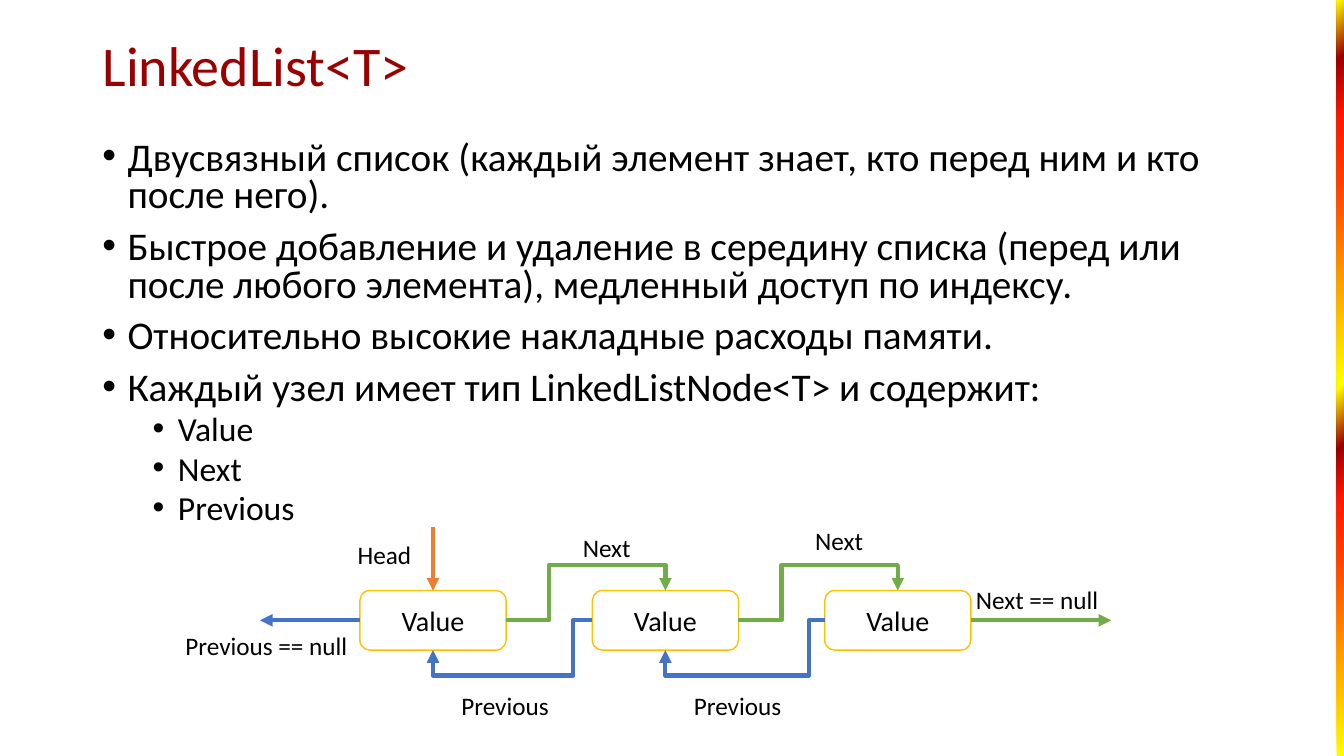
from lxml import etree
from pptx import Presentation
from pptx.dml.color import RGBColor
from pptx.enum.shapes import MSO_CONNECTOR, MSO_SHAPE
from pptx.enum.text import MSO_ANCHOR, MSO_AUTO_SIZE, PP_ALIGN
from pptx.oxml.ns import qn
from pptx.util import Inches, Pt

STRAIGHT, ELBOW = MSO_CONNECTOR.STRAIGHT, MSO_CONNECTOR.ELBOW
RECT, ROUND = MSO_SHAPE.RECTANGLE, MSO_SHAPE.ROUNDED_RECTANGLE
MIDDLE, TOP = MSO_ANCHOR.MIDDLE, MSO_ANCHOR.TOP
LEFT, CENTER = PP_ALIGN.LEFT, PP_ALIGN.CENTER
FIXED, GROW = MSO_AUTO_SIZE.NONE, MSO_AUTO_SIZE.SHAPE_TO_FIT_TEXT

COLS, ROWS = 160, 90
BLACK, WHITE, DARK, GOLD = "000000", "FFFFFF", "990000", "FFC000"
GREEN, BLUE, ORANGE = "70AD47", "4472C4", "ED7D31"
STOPS = [(0, "FFFF00"), (27, "FF3D00"), (34, "FF1900"), (41, DARK),
         (49, "FFFF00"), (76, "FF3D00"), (84, "FF1900"), (92, DARK),
         (100, "FFFF00")]
POINTS = [
    (0, "Двусвязный список (каждый элемент знает, кто перед ним и кто после него)."),
    (0, "Быстрое добавление и удаление в середину списка (перед или после любого элемента), медленный доступ по индексу."),
    (0, "Относительно высокие накладные расходы памяти."),
    (0, "Каждый узел имеет тип LinkedListNode<T> и содержит:"),
    (1, "Value"),
    (1, "Next"),
    (1, "Previous"),
]


def tint(code):
    return RGBColor.from_string(code)


class Sheet:
    font = "Calibri"

    def __init__(self, deck):
        self.wide, self.high = deck.slide_width, deck.slide_height
        self.slide = deck.slides.add_slide(deck.slide_layouts[5])
        self.shapes = self.slide.shapes

    def spot(self, col, row):
        return round(col * self.wide / COLS), round(row * self.high / ROWS)

    def area(self, col, row, cols, rows):
        return *self.spot(col, row), *self.spot(cols, rows)

    def style(self, para, size, color=BLACK, align=LEFT):
        para.alignment = align
        for run in para.runs:
            run.font.name = self.font
            run.font.size = Pt(size)
            run.font.color.rgb = tint(color)

    def title(self, text, *box):
        head = self.shapes.title
        head.left, head.top, head.width, head.height = self.area(*box)
        frame = head.text_frame
        frame.text = text
        frame.auto_size = FIXED
        frame.vertical_anchor = MIDDLE
        frame.paragraphs[0].line_spacing = 0.9
        self.style(frame.paragraphs[0], 40, DARK)

    def bar(self, stops, *box):
        strip = self.shapes.add_shape(RECT, *self.area(*box))
        strip.shadow.inherit = False
        strip.line.fill.background()
        strip.fill.gradient()
        strip.fill.gradient_angle = 135
        ramp = next(strip.element.iter(qn("a:gsLst")))
        ramp.clear()
        for share, color in stops:
            stop = etree.SubElement(ramp, qn("a:gs"), pos=str(share * 1000))
            etree.SubElement(stop, qn("a:srgbClr"), val=color)

    def list(self, items, *box):
        frame = self.shapes.add_textbox(*self.area(*box)).text_frame
        frame.word_wrap = True
        frame.auto_size = FIXED
        frame.vertical_anchor = TOP
        frame.text = "\n".join(text for _, text in items)
        for para, (level, _) in zip(frame.paragraphs, items):
            para.level = level
            para.line_spacing = 0.8
            para.space_before = Pt(5 if level else 10)
            self.style(para, 24 if level else 28)
            props = para._p.get_or_add_pPr()
            props.set("marL", str(Inches(0.25 + level / 2)))
            props.set("indent", str(Inches(-0.25)))
            etree.SubElement(props, qn("a:buFont"), typeface="Arial")
            etree.SubElement(props, qn("a:buChar"), char="•")

    def node(self, text, *box):
        card = self.shapes.add_shape(ROUND, *self.area(*box))
        card.shadow.inherit = False
        card.fill.solid()
        card.fill.fore_color.rgb = tint(WHITE)
        card.line.color.rgb = tint(GOLD)
        card.line.width = Pt(1)
        card.text_frame.text = text
        card.text_frame.vertical_anchor = MIDDLE
        self.style(card.text_frame.paragraphs[0], 20, align=CENTER)

    def label(self, text, col, row, cols):
        frame = self.shapes.add_textbox(*self.area(col, row, cols, 4.8)).text_frame
        frame.word_wrap = False
        frame.auto_size = GROW
        frame.text = text
        self.style(frame.paragraphs[0], 18)

    def arrow(self, start, end, color, bends=None):
        kind = ELBOW if bends else STRAIGHT
        link = self.shapes.add_connector(kind, *self.spot(*start), *self.spot(*end))
        link.line.color.rgb = tint(color)
        link.line.width = Pt(3)
        etree.SubElement(link.line._ln, qn("a:tailEnd"), type="triangle")
        props = link.element.spPr
        etree.SubElement(props, qn("a:effectLst"))
        if bends:
            form = props.find(qn("a:prstGeom"))
            form.set("prst", "bentConnector4")
            guides = form.find(qn("a:avLst"))
            for place, bend in enumerate(bends, 1):
                etree.SubElement(guides, qn("a:gd"), name=f"adj{place}",
                                 fmla=f"val {round(bend * 100000)}")


def main():
    deck = Presentation()
    deck.slide_width, deck.slide_height = Inches(13.33), Inches(7.5)
    sheet = Sheet(deck)
    sheet.bar(STOPS, 159.15, 0, 0.85, ROWS)
    sheet.title("LinkedList<T>", 11, 1.8, 138, 12.7)
    sheet.list(POINTS, 11, 16.2, 138, 50)

    left, top, width, height, step = 42.85, 70.3, 17.4, 7.1, 27.67
    middle, base = top + height / 2, top + height
    lefts = [left + step * place for place in range(3)]
    for col in lefts:
        sheet.node("Value", col, top, width, height)

    for place, (near, far) in enumerate(zip(lefts, lefts[1:])):
        sheet.arrow((near + width, middle), (far + width / 2, top),
                    GREEN, (0.27, 1.85))
        sheet.arrow((far, middle), (near + width / 2, base),
                    BLUE, (0.12 - 0.02 * place, 1.85))
        sheet.label("Next", near + 25.35, 62.8 - 0.85 * place, 8.2)
        sheet.label("Previous", near + 10.9, 81.6, 13)

    last = lefts[-1] + width
    sheet.arrow((last, middle), (last + 16.7, middle), GREEN)
    sheet.arrow((left, middle), (left - 11.9, middle), BLUE)
    sheet.arrow((left + width / 2, 62.8), (left + width / 2, top), ORANGE)
    sheet.label("Next == null", 115, 69, 17.2)
    sheet.label("Previous == null", 20.9, 74.4, 22)
    sheet.label("Head", 41.4, 63.6, 8.9)
    deck.save("out.pptx")


if __name__ == "__main__":
    main()
